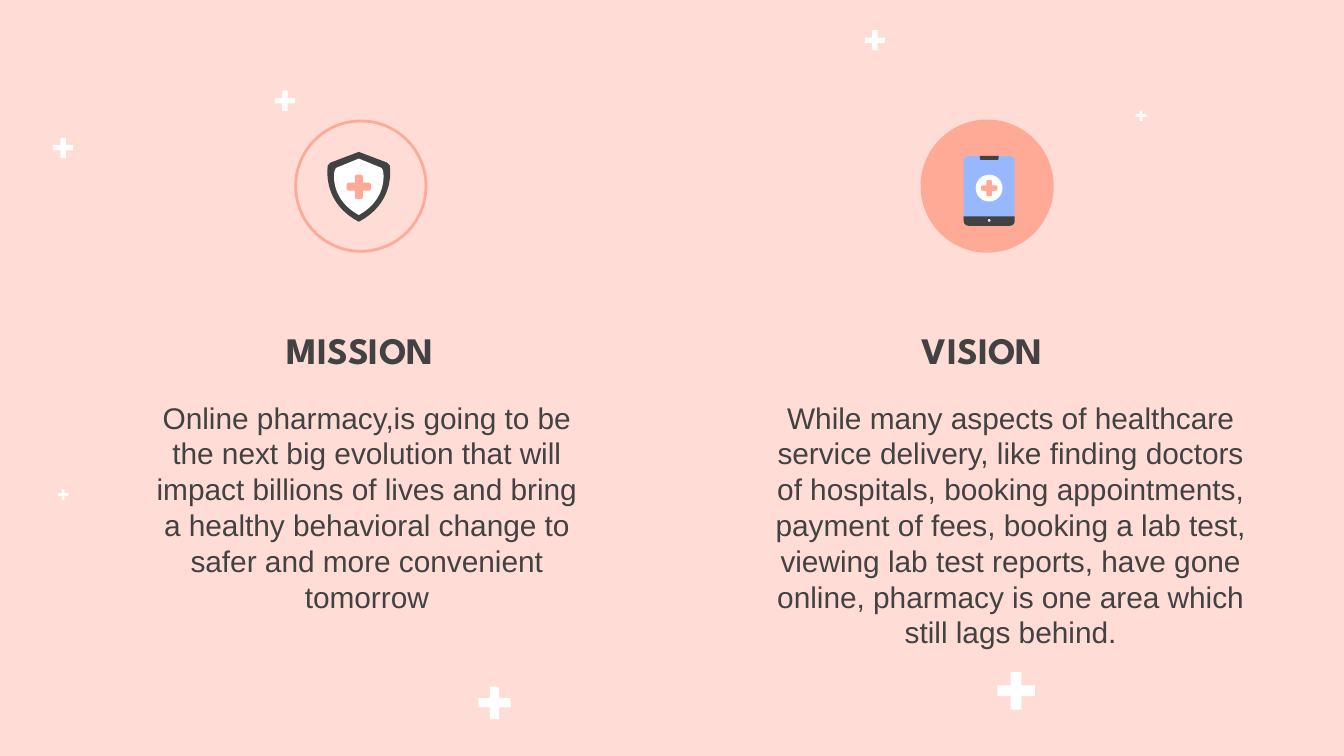
import pptx
import pptx.util
from pptx.dml.color import RGBColor
from pptx.enum.shapes import MSO_SHAPE
from pptx.enum.text import MSO_ANCHOR, MSO_AUTO_SIZE, PP_ALIGN
from pptx.oxml.ns import qn
from pptx.util import Inches

PINK, CORAL, DARK, WHITE, BLUE = "FFDCD6", "FFAA97", "424242", "FFFFFF", "97B8FF"

# Placeholder index, (left, top, width, height), kind of text, wording
TEXTS = [
    (0, (0.79, 2.18, 3.78, 0.69), "heading", "MISSION"),
    (1, (1.04, 2.87, 3.38, 1.82), "body",
     "Online pharmacy,is going to be the next big evolution that will impact "
     "billions of lives and bring a healthy behavioral change to safer and more "
     "convenient tomorrow"),
    (3, (5.42, 2.18, 3.78, 0.69), "heading", "VISION"),
    (4, (5.67, 2.87, 3.7, 2.26), "body",
     "While many aspects of healthcare service delivery, like finding doctors of "
     "hospitals, booking appointments, payment of fees, booking a lab test, viewing "
     "lab test reports, have gone online, pharmacy is one area which still lags behind."),
]
FONTS = {
    "heading": {"name": "League Spartan", "size": pptx.util.Pt(20), "bold": True},
    "body": {"name": "Arial", "size": pptx.util.Pt(16), "bold": False},
}
ANCHORS = {"heading": MSO_ANCHOR.BOTTOM, "body": MSO_ANCHOR.TOP}
FRAME = {
    "word_wrap": True, "auto_size": MSO_AUTO_SIZE.NONE,
    **{f"margin_{side}": Inches(0.1) for side in ("left", "top", "right", "bottom")},
}
PARAGRAPH = {
    "alignment": PP_ALIGN.CENTER, "line_spacing": 1.0, "space_before": 0, "space_after": 0,
}

# Background crosses: centre x, centre y, length, thickness
CROSSES = [
    (3.68, 5.23, 0.24, 0.07), (2.12, 0.75, 0.15, 0.04), (6.51, 0.3, 0.15, 0.04),
    (0.47, 1.1, 0.15, 0.04), (8.49, 0.86, 0.08, 0.02), (0.47, 3.68, 0.08, 0.02),
    (7.56, 5.14, 0.28, 0.08),
]

# Right half of each shield: top, shoulder, side, two curve controls, foot
SHIELD_AXIS = 2.67
SHIELDS = [
    (DARK, [(0, 1.13), (0.21, 1.21), (0.23, 1.23), (0.24, 1.29), (0.25, 1.52), (0, 1.65)]),
    (WHITE, [(0, 1.18), (0.17, 1.25), (0.18, 1.27), (0.19, 1.31), (0.2, 1.49), (0, 1.6)]),
]

# Phone parts: preset, box, colour, corner ratio, rotation
PHONE = [
    (MSO_SHAPE.ROUNDED_RECTANGLE, (7.17, 1.16, 0.38, 0.52), BLUE, 0.1, 0),
    (MSO_SHAPE.ROUND_2_SAME_RECTANGLE, (7.29, 1.16, 0.14, 0.03), DARK, 0.4, 180),
    (MSO_SHAPE.ROUND_2_SAME_RECTANGLE, (7.17, 1.61, 0.38, 0.07), DARK, 0.5, 180),
    (MSO_SHAPE.OVAL, (7.35, 1.63, 0.02, 0.02), PINK, None, 0),
    (MSO_SHAPE.OVAL, (7.26, 1.3, 0.2, 0.2), WHITE, None, 0),
]


def paint(shape, fill=None, line=None):
    """Give a shape a plain fill and outline; None means no paint."""
    shape.shadow.inherit = False
    for part, color in ((shape.fill, fill), (shape.line.fill, line)):
        if color:
            part.solid()
            part.fore_color.rgb = RGBColor.from_string(color)
        else:
            part.background()
    if line:
        shape.line.width = pptx.util.Pt(1.5)


def add_shape(slide, preset, box, fill=None, line=None, corner=None, rotation=0):
    shape = slide.shapes.add_shape(preset, *map(Inches, box))
    shape.rotation = rotation
    if corner is not None:
        shape.adjustments[0] = corner
    paint(shape, fill, line)


def add_cross(slide, x, y, length, thickness, color=WHITE, corner=None):
    preset = MSO_SHAPE.RECTANGLE if corner is None else MSO_SHAPE.ROUNDED_RECTANGLE
    for width, height in ((thickness, length), (length, thickness)):
        box = (x - width / 2, y - height / 2, width, height)
        add_shape(slide, preset, box, color, corner=corner)


def add_shield(slide, color, half):
    top, shoulder, *curve = half
    steps = 16
    side = []
    for step in range(steps + 1):
        t = step / steps
        weights = ((1 - t) ** 3, 3 * t * (1 - t) ** 2, 3 * t * t * (1 - t), t ** 3)
        side.append(tuple(sum(w * point[axis] for w, point in zip(weights, curve))
                          for axis in (0, 1)))
    right = [top, shoulder, *side]
    left = [(-x, y) for x, y in reversed(right[1:-1])]
    points = [(Inches(SHIELD_AXIS + x), Inches(y)) for x, y in right + left]
    builder = slide.shapes.build_freeform(*points[0])
    builder.add_line_segments(points[1:], close=True)
    paint(builder.convert_to_shape(), color)


def set_attributes(target, values):
    for name, value in values.items():
        setattr(target, name, value)


def fill_placeholder(shape, box, kind, text):
    set_attributes(shape, dict(zip(("left", "top", "width", "height"), map(Inches, box))))
    frame = shape.text_frame
    frame.text = text
    set_attributes(frame, FRAME)
    frame.vertical_anchor = ANCHORS[kind]
    paragraph = frame.paragraphs[0]
    set_attributes(paragraph, PARAGRAPH)
    font = paragraph.runs[0].font
    set_attributes(font, FONTS[kind])
    font.color.rgb = RGBColor.from_string(DARK)
    properties = paragraph._p.get_or_add_pPr()
    properties.set("marL", "0")
    properties.set("indent", "0")
    properties.append(properties.makeelement(qn("a:buNone"), {}))


def main():
    presentation = pptx.Presentation()
    presentation.slide_width = Inches(10)
    presentation.slide_height = presentation.slide_width * 9 // 16
    slide = presentation.slides.add_slide(presentation.slide_layouts.get_by_name("Comparison"))
    background = slide.background.fill
    background.solid()
    background.fore_color.rgb = RGBColor.from_string(PINK)

    placeholders = {shape.placeholder_format.idx: shape for shape in slide.placeholders}
    for index, box, kind, text in TEXTS:
        fill_placeholder(placeholders.pop(index), box, kind, text)
    for unused in placeholders.values():
        unused._element.getparent().remove(unused._element)

    for cross in CROSSES:
        add_cross(slide, *cross)
    for left, fill in ((2.2, None), (6.86, CORAL)):
        add_shape(slide, MSO_SHAPE.OVAL, (left, 0.9, 0.97, 0.97), fill, CORAL)
    for color, half in SHIELDS:
        add_shield(slide, color, half)
    add_cross(slide, SHIELD_AXIS, 1.39, 0.18, 0.06, CORAL, 0.25)
    for preset, box, color, corner, rotation in PHONE:
        add_shape(slide, preset, box, color, corner=corner, rotation=rotation)
    add_cross(slide, 7.36, 1.4, 0.12, 0.04, CORAL, 0.25)
    presentation.save("out.pptx")


if __name__ == "__main__":
    main()
